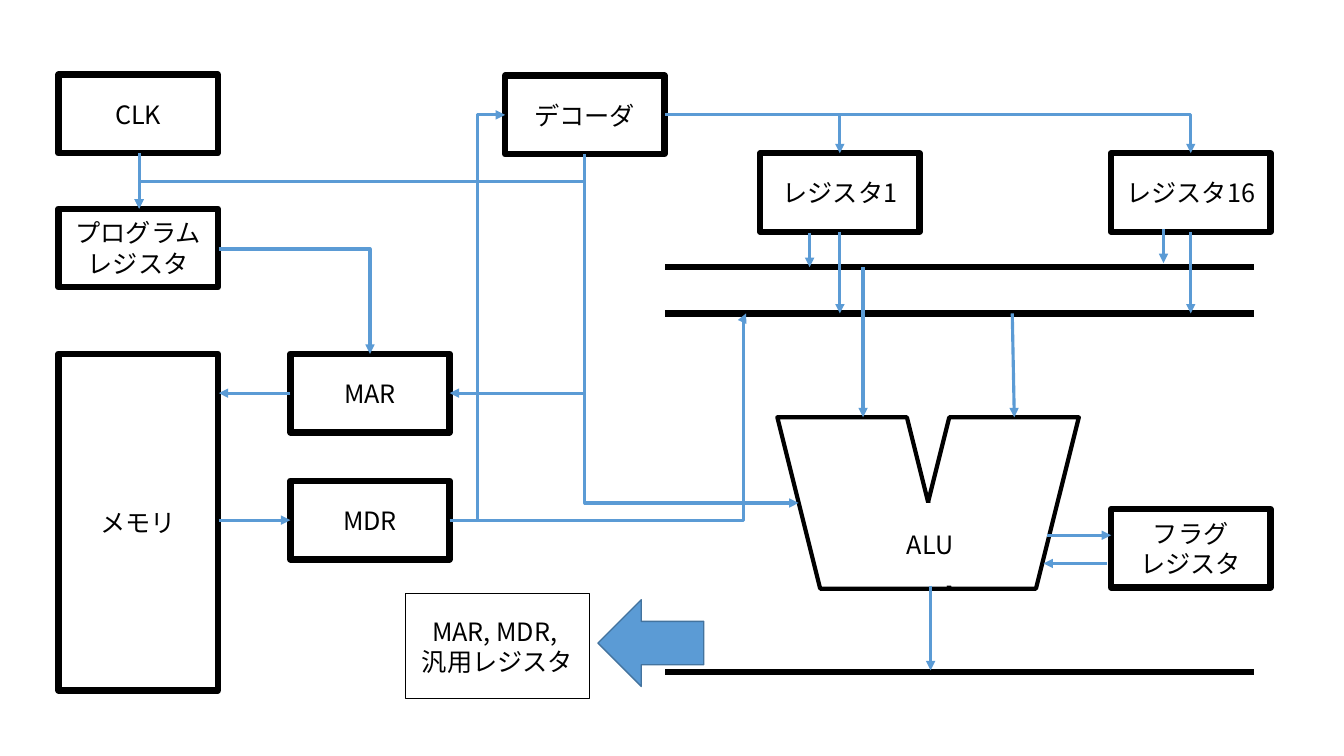
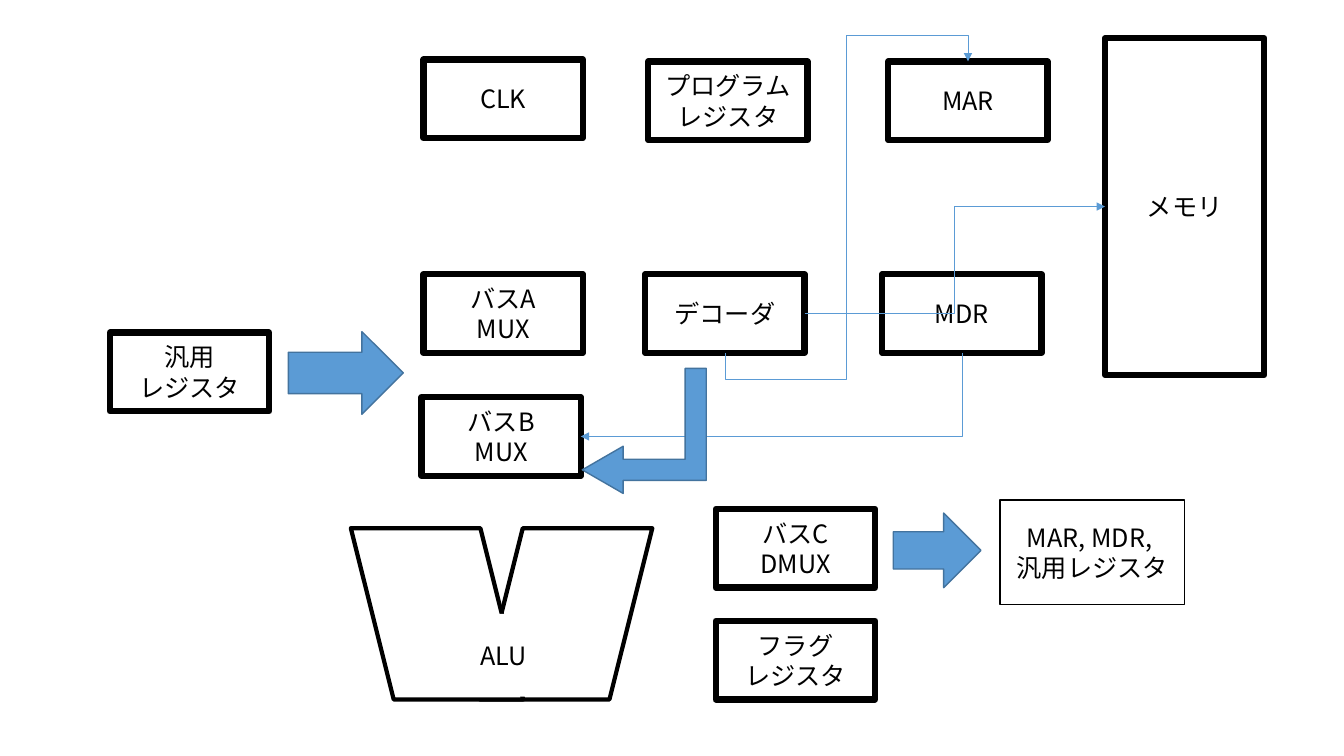
import pptx
import pptx.util
import pptx.dml.color
import pptx.enum.shapes
import pptx.enum.text
import pptx.oxml.ns
import pptx.shapes.autoshape
import pptx.shapes.connector
import pptx.slide
from dataclasses import dataclass
from lxml import etree

Inches = pptx.util.Inches
Pt = pptx.util.Pt
qn = pptx.oxml.ns.qn
Preset = pptx.enum.shapes.MSO_SHAPE
ConnectorType = pptx.enum.shapes.MSO_CONNECTOR

COLOURS = {"paper": "FFFFFF", "ink": "000000", "wire": "5B9BD5", "arrow_edge": "43739E"}
FONT = "Noto Sans CJK JP"
BLOCK_WIDTH, BLOCK_HEIGHT = 1.58, 0.78
MEMORY_HEIGHT = 3.34
BUS_LEFT, BUS_RIGHT = 6.6, 12.44
BUS_A, BUS_B, BUS_C = 2.65, 3.11, 6.67
DESTINATIONS = "MAR, MDR, \v汎用レジスタ"
PROGRAM_REGISTER = "プログラムレジスタ"
FLAG_REGISTER = "フラグ\vレジスタ"

Point = tuple[float, float]


@dataclass
class Block:
    text: str
    left: float
    top: float
    width: float = BLOCK_WIDTH
    height: float = BLOCK_HEIGHT
    border: float = 4.5


@dataclass
class Wire:
    start: Point
    end: Point
    bends: int = 0
    starts_vertical: bool = False
    adjustments: tuple[float, ...] = ()


@dataclass
class BlockArrow:
    left: float
    top: float
    width: float
    height: float
    preset: Preset = Preset.RIGHT_ARROW
    rotation: float = 0
    flipped: bool = False
    adjustments: tuple[float, ...] = ()


@dataclass
class Diagram:
    blocks: list[Block]
    alu: Point
    buses: list[float]
    wires: list[Wire]
    wire_width: float
    arrows: list[BlockArrow]


def colour(name: str) -> pptx.dml.color.RGBColor:
    return pptx.dml.color.RGBColor.from_string(COLOURS[name])


def add_figure(shapes, preset: Preset, left: float, top: float, width: float, height: float,
               border: float, fill: str = "paper", edge: str = "ink",
               flipped: bool = False) -> pptx.shapes.autoshape.Shape:
    shape = shapes.add_shape(preset, Inches(left), Inches(top), Inches(width), Inches(height))
    shape.shadow.inherit = False
    shape.fill.solid()
    shape.fill.fore_color.rgb = colour(fill)
    if border:
        shape.line.color.rgb = colour(edge)
        shape.line.width = Pt(border)
    else:
        shape.line.fill.background()
    if flipped:
        shape._element.spPr.find(qn("a:xfrm")).set("flipH", "1")
    return shape


def add_block(shapes, block: Block) -> None:
    shape = add_figure(shapes, Preset.RECTANGLE, block.left, block.top,
                       block.width, block.height, block.border)
    text_frame = shape.text_frame
    text_frame.word_wrap = True
    text_frame.vertical_anchor = pptx.enum.text.MSO_ANCHOR.MIDDLE
    text_frame.text = block.text
    paragraph = text_frame.paragraphs[0]
    paragraph.alignment = pptx.enum.text.PP_ALIGN.CENTER
    for run in paragraph.runs:
        run.font.size = Pt(18)
        run.font.name = FONT
        run.font.color.rgb = colour("ink")
        properties = run._r.get_or_add_rPr()
        etree.SubElement(properties, qn("a:ea")).set("typeface", FONT)


def add_alu(slide: pptx.slide.Slide, left: float, top: float) -> None:
    shapes = slide.shapes.add_group_shape().shapes
    add_figure(shapes, Preset.PARALLELOGRAM, left + 1.28, top, 1.71, 1.7, 3)
    add_figure(shapes, Preset.PARALLELOGRAM, left, top, 1.71, 1.7, 3, flipped=True)
    add_block(shapes, Block("ALU", left + 0.57, top + 0.85, 1.89, 0.82, border=0))


def style_connector(connector: pptx.shapes.connector.Connector, line_colour: str,
                    width: float, arrowhead: bool) -> None:
    connector.line.color.rgb = colour(line_colour)
    connector.line.width = Pt(width)
    properties = connector._element.spPr
    if arrowhead:
        etree.SubElement(properties.find(qn("a:ln")), qn("a:tailEnd")).set("type", "triangle")
    etree.SubElement(properties, qn("a:effectLst"))


def add_straight(slide: pptx.slide.Slide, start: Point, end: Point) -> pptx.shapes.connector.Connector:
    return slide.shapes.add_connector(
        ConnectorType.STRAIGHT, *[Inches(length) for length in (*start, *end)])


def add_elbow(slide: pptx.slide.Slide, wire: Wire) -> pptx.shapes.connector.Connector:
    across = wire.end[0] - wire.start[0]
    down = wire.end[1] - wire.start[1]
    width, height = abs(across), abs(down)
    flip_horizontal, flip_vertical = across < 0, down < 0
    if wire.starts_vertical:
        width, height = height, width
        flip_horizontal, flip_vertical = down < 0, across > 0
    left = wire.start[0] + (across - width) / 2
    top = wire.start[1] + (down - height) / 2
    connector = slide.shapes.add_connector(
        ConnectorType.ELBOW, Inches(left), Inches(top), Inches(left + width), Inches(top + height))
    properties = connector._element.spPr
    transform = properties.find(qn("a:xfrm"))
    if wire.starts_vertical:
        transform.set("rot", "5400000")
    for name, flipped in (("flipH", flip_horizontal), ("flipV", flip_vertical)):
        if flipped:
            transform.set(name, "1")
    geometry = properties.find(qn("a:prstGeom"))
    geometry.set("prst", f"bentConnector{wire.bends + 1}")
    guides = geometry.find(qn("a:avLst"))
    for number, value in enumerate(wire.adjustments, start=1):
        guide = etree.SubElement(guides, qn("a:gd"))
        guide.set("name", f"adj{number}")
        guide.set("fmla", f"val {round(value * 100000)}")
    return connector


def add_block_arrow(slide: pptx.slide.Slide, arrow: BlockArrow) -> None:
    shape = add_figure(slide.shapes, arrow.preset, arrow.left, arrow.top, arrow.width,
                       arrow.height, 1, "wire", "arrow_edge", arrow.flipped)
    shape.rotation = arrow.rotation
    for index, value in enumerate(arrow.adjustments):
        shape.adjustments[index] = value


def draw_diagram(presentation, diagram: Diagram) -> None:
    slide = presentation.slides.add_slide(presentation.slide_layouts[6])
    for block in diagram.blocks:
        add_block(slide.shapes, block)
    add_alu(slide, *diagram.alu)
    for height in diagram.buses:
        bus = add_straight(slide, (BUS_LEFT, height), (BUS_RIGHT, height))
        style_connector(bus, "ink", 4.5, arrowhead=False)
    for wire in diagram.wires:
        connector = add_elbow(slide, wire) if wire.bends else add_straight(slide, wire.start, wire.end)
        style_connector(connector, "wire", diagram.wire_width, arrowhead=True)
    for arrow in diagram.arrows:
        add_block_arrow(slide, arrow)


decoder_right = (6.6, 1.14)
decoder_bottom = (5.8, 1.53)
mdr_right = (4.46, 5.16)

data_path = Diagram(
    blocks=[
        Block("CLK", 0.58, 0.74),
        Block("デコーダ", 5.01, 0.75),
        Block("レジスタ1", 7.54, 1.52),
        Block("レジスタ16", 11.02, 1.52),
        Block(FLAG_REGISTER, 11.02, 5.05),
        Block(PROGRAM_REGISTER, 0.58, 2.07),
        Block("メモリ", 0.58, 3.51, height=MEMORY_HEIGHT),
        Block("MAR", 2.88, 3.51),
        Block("MDR", 2.88, 4.77),
        Block(DESTINATIONS, 4.02, 5.89, 1.83, 1.04, border=1),
    ],
    alu=(7.71, 4.14),
    buses=[BUS_A, BUS_B, BUS_C],
    wires=[
        Wire((1.38, 1.52), (1.38, 2.07)),
        Wire((2.17, 2.47), (3.67, 3.51), bends=1),
        Wire((2.88, 3.9), (2.17, 3.9)),
        Wire((2.17, 5.16), (2.88, 5.16)),
        Wire(mdr_right, (5.01, 1.14), bends=2),
        Wire(decoder_right, (8.33, 1.52), bends=1),
        Wire(decoder_right, (11.81, 1.52), bends=1),
        Wire(decoder_bottom, (4.46, 3.9), bends=1, starts_vertical=True),
        Wire(mdr_right, (7.4, BUS_B), bends=2, adjustments=(0.99,)),
        Wire((8.03, 2.31), (8.03, BUS_A)),
        Wire((11.54, 2.27), (11.54, 2.61)),
        Wire((8.33, 2.3), (8.33, BUS_B)),
        Wire((11.81, 2.3), (11.81, BUS_B)),
        Wire((8.56, BUS_A), (8.56, 4.14)),
        Wire((10.04, BUS_B), (10.06, 4.14)),
        Wire((10.38, 5.31), (11.02, 5.31)),
        Wire((10.98, 5.59), (10.35, 5.59)),
        Wire((9.23, 5.81), (9.23, 6.65)),
        Wire(decoder_bottom, (1.38, 2.07), bends=2, starts_vertical=True),
        Wire(decoder_bottom, (7.92, 4.99), bends=1, starts_vertical=True),
    ],
    wire_width=2.25,
    arrows=[BlockArrow(5.93, 5.95, 1.05, 0.86, rotation=180)],
)

multiplexers = Diagram(
    blocks=[
        Block("CLK", 4.2, 0.59),
        Block("デコーダ", 6.4, 2.72),
        Block("汎用\vレジスタ", 1.09, 3.3),
        Block(FLAG_REGISTER, 7.1, 6.16),
        Block(PROGRAM_REGISTER, 6.43, 0.61),
        Block("メモリ", 10.96, 0.38, height=MEMORY_HEIGHT),
        Block("MAR", 8.81, 0.61),
        Block("MDR", 8.75, 2.72),
        Block(DESTINATIONS, 9.92, 4.96, 1.83, 1.04, border=1),
        Block("バスA\vMUX", 4.2, 2.72),
        Block("バスB\vMUX", 4.18, 3.94),
        Block("バスC\vDMUX", 7.1, 5.05),
    ],
    alu=(3.48, 5.24),
    buses=[],
    wires=[
        Wire((9.54, 3.5), (5.76, 4.33), bends=1, starts_vertical=True),
        Wire((7.19, 3.5), (9.6, 0.61), bends=4, starts_vertical=True,
             adjustments=(-0.09, 0.5, 1.09)),
        Wire((7.98, 3.11), (10.96, 2.05), bends=2, adjustments=(0.5,)),
    ],
    wire_width=0.5,
    arrows=[
        BlockArrow(2.86, 3.29, 1.14, 0.82),
        BlockArrow(5.77, 3.66, 1.24, 1.23, Preset.BENT_UP_ARROW, 270, True, (0.17, 0.19, 0.33)),
        BlockArrow(8.86, 5.09, 0.87, 0.74),
    ],
)

presentation = pptx.Presentation()
presentation.slide_width = Inches(13.33)
presentation.slide_height = Inches(7.5)
for diagram in (data_path, multiplexers):
    draw_diagram(presentation, diagram)
presentation.save("out.pptx")
